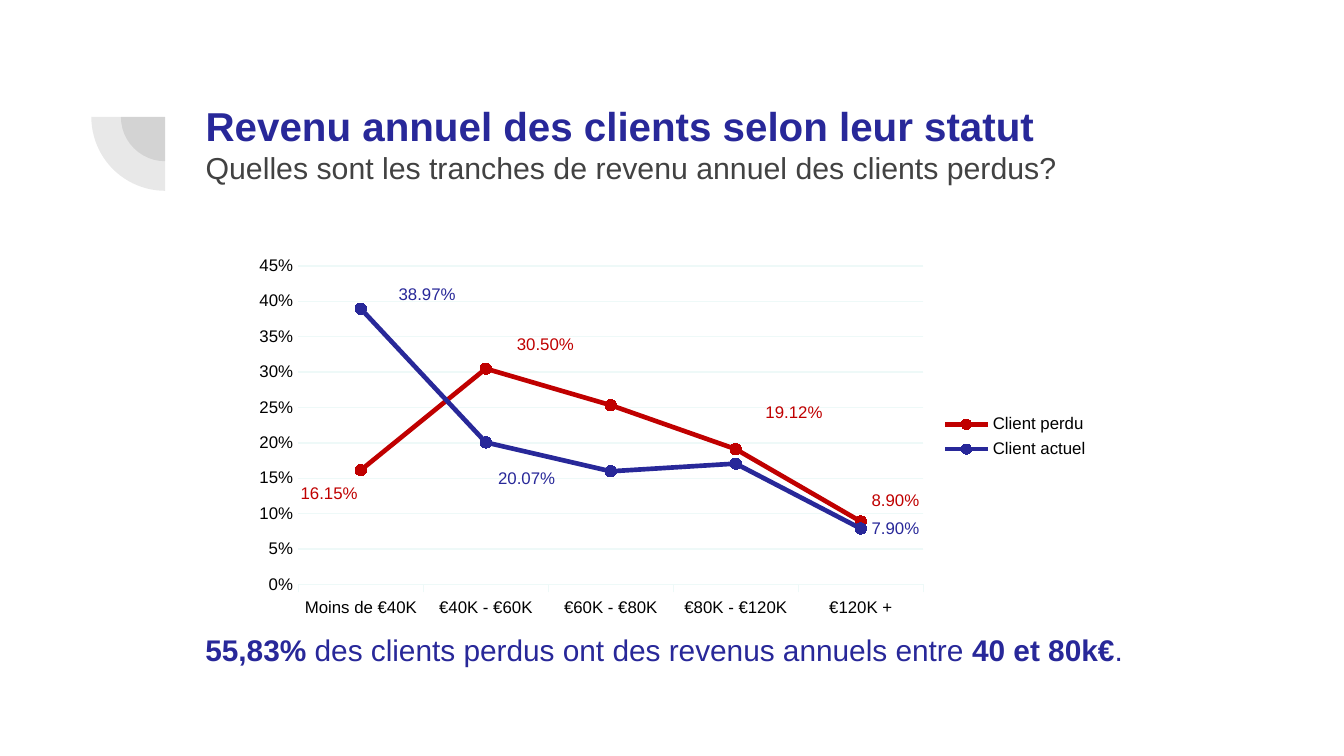
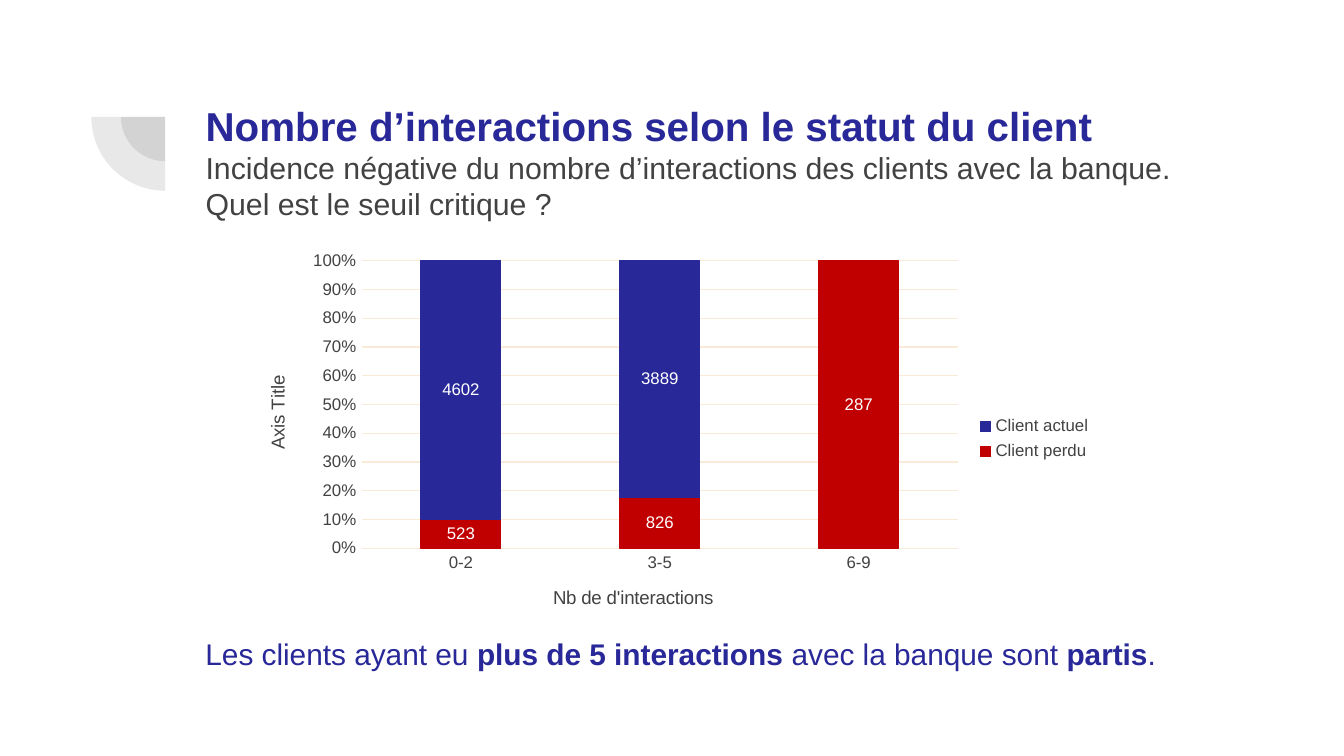
from pptx import Presentation
from pptx.chart.data import CategoryChartData as Data
from pptx.dml.color import RGBColor
from pptx.enum.chart import XL_CHART_TYPE as Kind, XL_LABEL_POSITION as Spot
from pptx.enum.chart import XL_LEGEND_POSITION as Side, XL_MARKER_STYLE as Mark
from pptx.enum.chart import XL_TICK_MARK as Tick
from pptx.enum.shapes import MSO_SHAPE as Form
from pptx.enum.text import MSO_ANCHOR as Anchor, MSO_AUTO_SIZE as Auto, PP_ALIGN as Align
from pptx.oxml import parse_xml
from pptx.oxml.ns import nsdecls, qn
from pptx.util import Inches, Pt

FONT = "Arial"
BLUE, RED, GREY, BLACK, WHITE = "282899", "C00000", "424242", "000000", "FFFFFF"
TONES = {"Client perdu": RED, "Client actuel": BLUE}
LEFT, TOP, WIDE = 1.43, 0.65, 7.69
HUB, RADII = (1.23, 0.87), (0.33, 0.55)

PAGES = [
    {
        "title": "Revenu annuel des clients selon leur statut",
        "lead": "Quelles sont les tranches de revenu annuel des clients perdus?",
        "high": 0.9,
        "note": [("55,83% ", True), ("des clients perdus ont des revenus annuels entre", False),
                 (" 40 et 80k€", True), (".", False)],
        "foot": (LEFT, 4.65, 7.34, 0.37),
        "kind": Kind.LINE_MARKERS,
        "box": (1.8, 1.85, 6.4, 2.8), "plot": (2.22, 1.98, 4.65, 2.37),
        "cats": ["Moins de €40K", "€40K - €60K", "€60K - €80K", "€80K - €120K", "€120K +"],
        "rows": {"Client perdu": [0.1615, 0.305, 0.2533, 0.1912, 0.089],
                 "Client actuel": [0.3897, 0.2007, 0.1599, 0.1707, 0.079]},
        "tags": {"Client perdu": {0: (-0.53, 0.18), 1: (0.15, -0.18),
                                  3: (0.14, -0.27), 4: (0, -0.15)},
                 "Client actuel": {0: (0.2, -0.1), 1: (0.01, 0.27), 4: (0, 0)}},
        "top": 0.45, "step": 0.05, "ink": BLACK, "grid": "EEF9F8", "tick": Tick.OUTSIDE,
    },
    {
        "title": "Nombre d’interactions selon le statut du client",
        "lead": "Incidence négative du nombre d’interactions des clients avec la banque. "
                "Quel est le seuil critique ?",
        "high": 1.09,
        "note": [("Les clients ayant eu ", False), ("plus de 5 interactions ", True),
                 ("avec la banque sont ", False), ("partis", True), (".", False)],
        "foot": (LEFT, 4.68, 8.01, 0.37),
        "kind": Kind.COLUMN_STACKED_100,
        "box": (1.78, 1.8, 6.44, 2.93), "plot": (2.69, 1.94, 4.44, 2.14),
        "cats": ["0-2", "3-5", "6-9"],
        "rows": {"Client perdu": [523, 826, 287], "Client actuel": [4602, 3889, None]},
        "names": [("Nb de d'interactions", (4.09, 4.33), 0), ("Axis Title", (1.95, 2.77), -90)],
        "top": 1, "step": 0.1, "ink": GREY, "grid": "FAEBD9", "tick": Tick.NONE,
    },
]


def tint(code):
    return RGBColor.from_string(code)


def style(font, size, color, bold=False):
    font.name, font.size, font.bold = FONT, Pt(size), bold
    font.color.rgb = tint(color)


def write(para, text, size=16, color=BLUE, bold=False):
    run = para.add_run()
    run.text = text
    style(run.font, size, color, bold)


def share(spot, box):
    x, y, wide, high = box
    return (spot[0] - x) / wide, (spot[1] - y) / high


def place(x, y, size=None, edge=True):
    parts = ['<c:layoutTarget val="inner"/>'] if size else []
    if edge:
        parts += ['<c:xMode val="edge"/>', '<c:yMode val="edge"/>']
    pairs = zip("xywh", (x, y, *(size or ())))
    parts += [f'<c:{key} val="{num:.4f}"/>' for key, num in pairs]
    return parse_xml(f'<c:layout {nsdecls("c")}><c:manualLayout>'
                     f'{"".join(parts)}</c:manualLayout></c:layout>')


def clear(node):
    for old in node.findall(qn("c:layout")):
        node.remove(old)


def stroke(line, color, width=0.75):
    line.color.rgb, line.width = tint(color), Pt(width)


def badge(slide):
    for rad in RADII:
        pie = slide.shapes.add_shape(Form.PIE, *map(Inches, (
            HUB[0] - rad, HUB[1] - rad, 2 * rad, 2 * rad)))
        pie.adjustments[0], pie.adjustments[1] = 54, 108
        pie.shadow.inherit = False
        pie.line.fill.background()
        pie.fill.solid()
        pie.fill.fore_color.rgb = tint(GREY)
        tone = pie.element.spPr.find(".//" + qn("a:srgbClr"))
        tone.append(parse_xml(f'<a:alpha {nsdecls("a")} val="12000"/>'))


def head(slide, page):
    box = slide.shapes.title
    box.left, box.top, box.width, box.height = map(Inches, (LEFT, TOP, WIDE, page["high"]))
    frame = box.text_frame
    frame.word_wrap, frame.auto_size = True, Auto.NONE
    frame.vertical_anchor = Anchor.TOP
    frame.margin_left = frame.margin_right = Inches(0.1)
    frame.margin_top = frame.margin_bottom = Inches(0.1)
    para = frame.paragraphs[0]
    para.alignment, para.line_spacing = Align.LEFT, 1.0
    write(para, page["title"], size=21.6, bold=True)
    para.add_line_break()
    write(para, page["lead"], size=16.2, color=GREY)


def foot(slide, page):
    frame = slide.shapes.add_textbox(*map(Inches, page["foot"])).text_frame
    frame.word_wrap = True
    for text, bold in page["note"]:
        write(frame.paragraphs[0], text, bold=bold)


def tag(row, spots, color, box):
    row.data_labels.show_value = False
    for num, (x, y) in spots.items():
        label = row.points[num].data_label
        label.position = Spot.RIGHT
        style(label.font, 9, color)
        node = row._element.xpath(f'.//c:dLbl[c:idx/@val="{num}"]')[0]
        clear(node)
        spot = place(x / box[2], y / box[3], edge=False)
        node.find(qn("c:idx")).addnext(spot)
        spot.addnext(parse_xml(
            f'<c:numFmt {nsdecls("c")} formatCode="0.00%" sourceLinked="0"/>'))
    for lead in row._element.xpath(".//c:showLeaderLines"):
        lead.set("val", "0")


def name(axis, box, text, spot, turn):
    frame = axis.axis_title.text_frame
    write(frame.paragraphs[0], text, size=10, color=GREY)
    node = axis._element.find(qn("c:title"))
    node.find(".//" + qn("a:bodyPr")).set("rot", str(turn * 60000))
    clear(node)
    node.find(qn("c:tx")).addnext(place(*share(spot, box)))


def graph(slide, page):
    lined, box = page["kind"] == Kind.LINE_MARKERS, page["box"]
    data = Data(number_format="0.00%" if lined else "General")
    data.categories = page["cats"]
    for label, vals in page["rows"].items():
        data.add_series(label, vals)
    chart = slide.shapes.add_chart(page["kind"], *map(Inches, box), data).chart
    ink = page["ink"]
    style(chart.font, 9, ink)
    chart.has_title = False
    chart.has_legend = True
    chart.legend.position = Side.RIGHT
    chart.legend.include_in_layout = False
    style(chart.legend.font, 9, ink)

    cat, val = chart.category_axis, chart.value_axis
    for axis in (cat, val):
        style(axis.tick_labels.font, 9, ink)
    cat.major_tick_mark = page["tick"]
    stroke(cat.format.line, page["grid"])
    val.major_tick_mark = Tick.NONE
    val.format.line.fill.background()
    val.has_major_gridlines = True
    stroke(val.major_gridlines.format.line, page["grid"])
    val.minimum_scale, val.maximum_scale, val.major_unit = 0, page["top"], page["step"]
    val.tick_labels.number_format = "0%"
    val.tick_labels.number_format_is_linked = False
    for axis, title in zip((cat, val), page.get("names", [])):
        name(axis, box, *title)

    plot = chart.plots[0]
    plot.vary_by_categories = False
    if not lined:
        plot.gap_width, plot.overlap = 150, 100
    for row in plot.series:
        color = TONES[row.name]
        stroke(row.format.line, color, 2.5 if lined else 0.75)
        if lined:
            row.smooth = False
            row.marker.style, row.marker.size = Mark.CIRCLE, 6
            shape = row.marker.format
            stroke(shape.line, color)
            tag(row, page["tags"][row.name], color, box)
        else:
            shape = row.format
            row.data_labels.show_value = True
            style(row.data_labels.font, 9, WHITE)
        shape.fill.solid()
        shape.fill.fore_color.rgb = tint(color)

    area = cat._element.getparent()
    clear(area)
    x, y, wide, high = page["plot"]
    area.insert(0, place(*share((x, y), box), size=(wide / box[2], high / box[3])))


def main():
    deck = Presentation()
    deck.slide_width = Inches(10)
    deck.slide_height = deck.slide_width * 9 // 16
    for page in PAGES:
        slide = deck.slides.add_slide(deck.slide_layouts[5])
        badge(slide)
        head(slide, page)
        foot(slide, page)
        graph(slide, page)
    deck.save("out.pptx")


if __name__ == "__main__":
    main()
